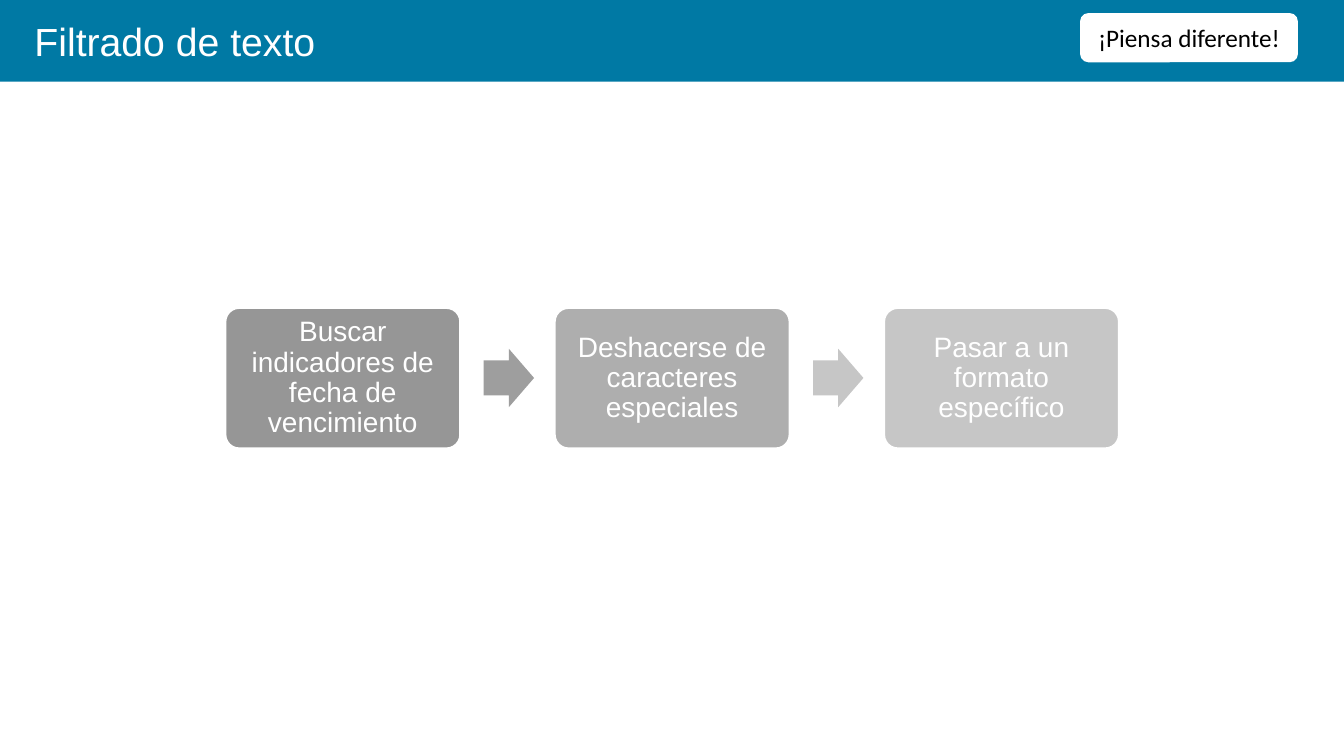
"""Build the text filtering slide: a title bar, a callout and a three-step flow."""
from pptx import Presentation
from pptx.dml.color import RGBColor
from pptx.enum.shapes import MSO_SHAPE as Kind
from pptx.enum.text import MSO_ANCHOR as Anchor, PP_ALIGN as Align
from pptx.util import Cm, Pt

COLORS = {
    "bar": "0079A4",
    "white": "FFFFFF",
    "black": "000000",
    "dark": "969696",
    "mid": "AEAEAE",
    "light": "C6C6C6",
    "arrow": "9E9E9E",
}


def draw(kind, left, top, width, height, fill, adjust=(), line=None):
    shape = slide.shapes.add_shape(kind, Cm(left), Cm(top), Cm(width), Cm(height))
    shape.shadow.inherit = False
    for i, value in enumerate(adjust):
        shape.adjustments[i] = value
    shape.fill.solid()
    shape.fill.fore_color.rgb = RGBColor.from_string(COLORS[fill])
    if line:
        shape.line.color.rgb = RGBColor.from_string(COLORS[line])
        shape.line.width = Pt(2)
    else:
        shape.line.fill.background()
    return shape


def write(shape, text, size=20, font="Arial", color="white", align=Align.CENTER,
          anchor=Anchor.MIDDLE, pad=(0.25, 0.13), spacing=1.0):
    frame = shape.text_frame
    frame.word_wrap = True
    frame.vertical_anchor = anchor
    frame.margin_left = frame.margin_right = Cm(pad[0])
    frame.margin_top = frame.margin_bottom = Cm(pad[1])
    para = frame.paragraphs[0]
    para.alignment = align
    para.line_spacing = spacing
    run = para.add_run()
    run.text = text
    run.font.size = Pt(size)
    run.font.name = font
    run.font.color.rgb = RGBColor.from_string(COLORS[color])


deck = Presentation()
deck.slide_width, deck.slide_height = Cm(33.87), Cm(19.05)
slide = deck.slides.add_slide(deck.slide_layouts[6])

draw(Kind.RECTANGLE, 0, 0, 33.87, 2.06, "bar")
title = slide.shapes.add_textbox(Cm(0.62), Cm(0.3), Cm(11.63), Cm(1.45))
write(title, "Filtrado de texto", size=28, align=Align.LEFT, anchor=Anchor.TOP)
badge = draw(Kind.ROUNDED_RECTANGLE, 27.22, 0.33, 5.49, 1.24, "white", [0.167])
write(badge, "¡Piensa diferente!", size=18, font="Calibri", color="black")

START, STEP = 5.67, 8.3
steps = [
    ("Buscar indicadores de fecha de vencimiento", "dark"),
    ("Deshacerse de caracteres especiales", "mid"),
    ("Pasar a un formato específico", "light"),
]
for i, (text, fill) in enumerate(steps):
    card = draw(Kind.ROUNDED_RECTANGLE, START + i * STEP, 7.75, 5.94, 3.56,
                fill, [0.1], line="white")
    write(card, text, pad=(0.3, 0.2), spacing=0.9)

for i, fill in enumerate(["arrow", "light"]):
    draw(Kind.RIGHT_ARROW, START + 6.52 + i * STEP, 8.79, 1.27, 1.47, fill, [0.6, 0.5])

deck.save("out.pptx")
